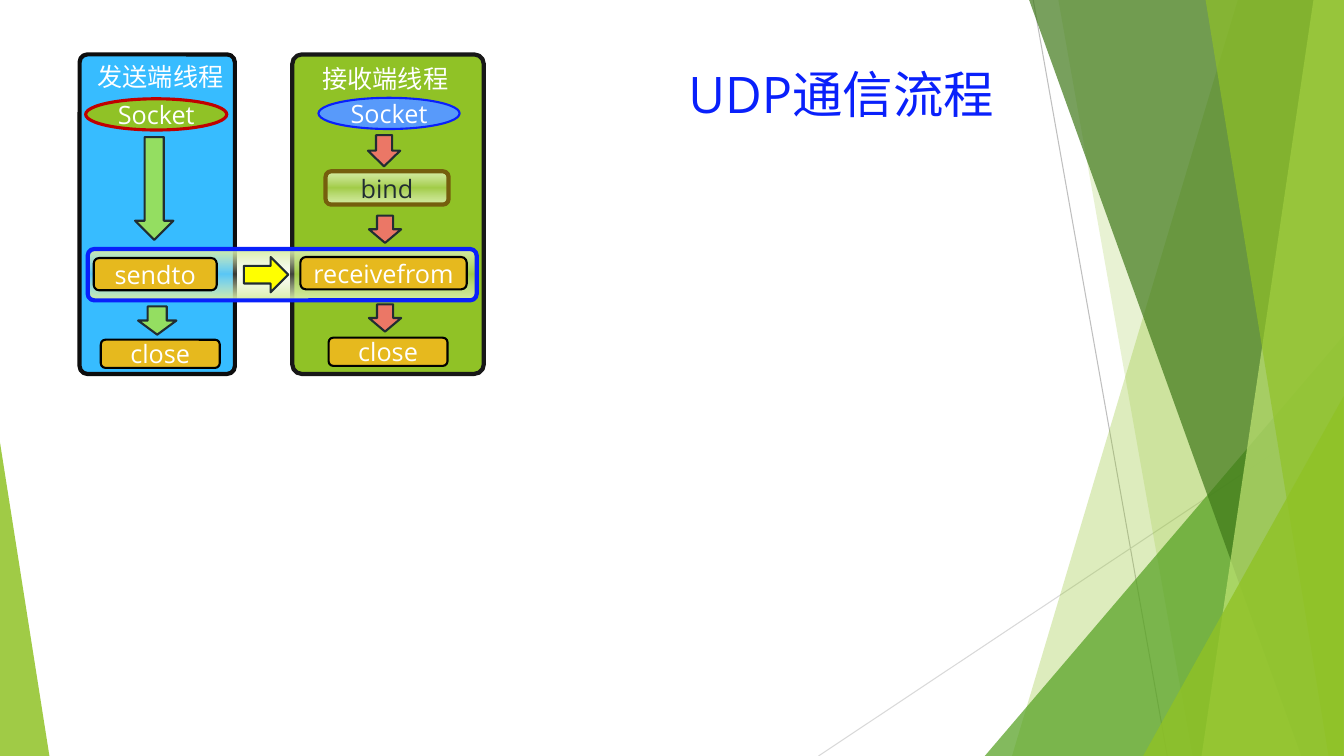
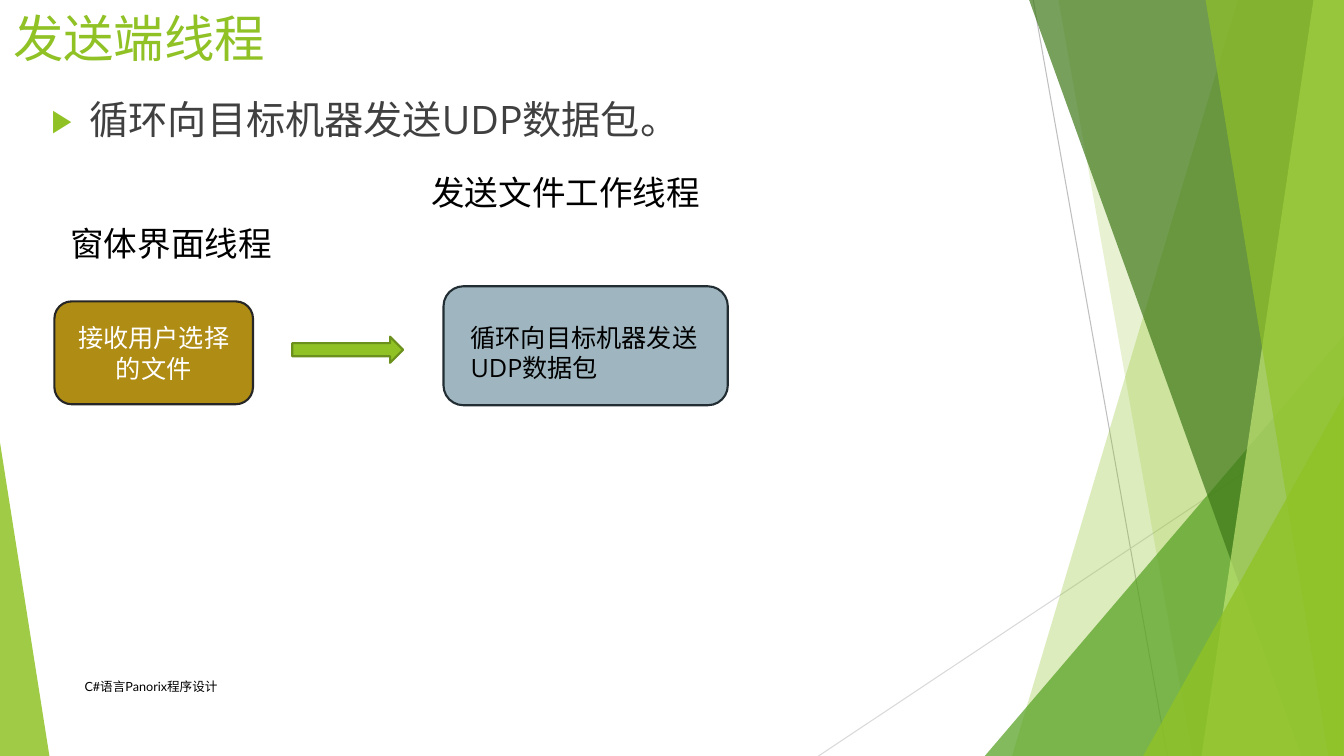
from lxml import etree
from pptx import Presentation
from pptx.dml.color import RGBColor
from pptx.enum.shapes import MSO_CONNECTOR, MSO_SHAPE
from pptx.enum.text import MSO_ANCHOR, MSO_AUTO_SIZE, PP_ALIGN
from pptx.oxml import parse_xml
from pptx.oxml.ns import nsdecls, qn
from pptx.util import Inches, Pt

ROUND, OVAL = MSO_SHAPE.ROUNDED_RECTANGLE, MSO_SHAPE.OVAL
DOWN, RIGHT = MSO_SHAPE.DOWN_ARROW, MSO_SHAPE.RIGHT_ARROW
WEDGE = MSO_SHAPE.ISOSCELES_TRIANGLE
TOP, MID = MSO_ANCHOR.TOP, MSO_ANCHOR.MIDDLE
LEFT, MIDST = PP_ALIGN.LEFT, PP_ALIGN.CENTER
FIXED, GROW = MSO_AUTO_SIZE.NONE, MSO_AUTO_SIZE.SHAPE_TO_FIT_TEXT

WHITE = RGBColor(0xFF, 0xFF, 0xFF)
BLACK = RGBColor(0x00, 0x00, 0x00)
GREEN = RGBColor(0x90, 0xC2, 0x26)
LEAF = RGBColor(0x54, 0xA0, 0x21)
MOSS = RGBColor(0x3F, 0x78, 0x19)
LIME = RGBColor(0xC0, 0xE4, 0x74)
OLIVE = RGBColor(0x6B, 0x90, 0x1C)
MINT = RGBColor(0x94, 0xDE, 0x61)
SKY = RGBColor(0x37, 0xBC, 0xFF)
AZURE = RGBColor(0x58, 0x9A, 0xFA)
BLUE = RGBColor(0x09, 0x20, 0xFB)
RED = RGBColor(0xC0, 0x00, 0x00)
CORAL = RGBColor(0xEB, 0x77, 0x66)
GOLD = RGBColor(0xE6, 0xB9, 0x1E)
OCHRE = RGBColor(0xAF, 0x8C, 0x14)
BROWN = RGBColor(0x75, 0x5E, 0x0D)
YELLOW = RGBColor(0xFF, 0xFF, 0x00)
STEEL = RGBColor(0x9F, 0xB6, 0xC0)
SLATE = RGBColor(0x21, 0x2D, 0x32)
COAL = RGBColor(0x26, 0x26, 0x26)
INK = RGBColor(0x0D, 0x0D, 0x0D)
PITCH = RGBColor(0x18, 0x18, 0x18)
GREY = RGBColor(0x40, 0x40, 0x40)
SILVER = RGBColor(0xBF, 0xBF, 0xBF)
PALE = RGBColor(0xD9, 0xD9, 0xD9)
SANS, HAN, LATO = "Open Sans", "Noto Sans CJK SC", "Lato"

CELL = Inches(0.1)
COLS, ROWS = 133.33, 75
GLOW = f"""<a:gradFill {nsdecls("a")} rotWithShape="1"><a:gsLst>
<a:gs pos="0"><a:srgbClr val="D5EDA2"/></a:gs>
<a:gs pos="49000"><a:srgbClr val="EAF6D1"><a:alpha val="19000"/></a:srgbClr></a:gs>
<a:gs pos="100000"><a:srgbClr val="D5EDA2"/></a:gs>
</a:gsLst><a:lin ang="5400000" scaled="0"/></a:gradFill>"""


def draw(slide, kind, box, fill, line=None, weight=1.5, bend=None):
    shape = slide.shapes.add_shape(kind, *[round(n * CELL) for n in box])
    shape.shadow.inherit = False
    if bend is not None:
        shape.adjustments[0] = bend
    if fill == GLOW:
        shape._element.spPr.find(qn("a:prstGeom")).addnext(parse_xml(GLOW))
    else:
        shape.fill.solid()
        shape.fill.fore_color.rgb = fill
    if line is None:
        shape.line.fill.background()
    else:
        shape.line.color.rgb = line
        shape.line.width = Pt(weight)
    return shape


def write(shape, text, size=18, color=WHITE, font=HAN, align=LEFT,
          anchor=TOP, wrap=True, fit=FIXED):
    frame = shape.text_frame
    frame.text = text
    frame.auto_size = fit
    frame.word_wrap = wrap
    frame.vertical_anchor = anchor
    for para in frame.paragraphs:
        para.alignment = align
        for run in para.runs:
            run.font.size = Pt(size)
            run.font.name = font
            run.font.color.rgb = color
            etree.SubElement(run.font._element, qn("a:ea"), typeface=HAN)


prs = Presentation()
prs.slide_width, prs.slide_height = round(COLS * CELL), ROWS * CELL
flow = prs.slides.add_slide(prs.slide_layouts[5])
send = prs.slides.add_slide(prs.slide_layouts[1])

decor = []
for ends, color in [((102.5, 0, 115.8, ROWS), SILVER),
                    ((COLS, 40.3, 81.2, ROWS), PALE)]:
    rule = flow.shapes.add_connector(
        MSO_CONNECTOR.STRAIGHT, *[round(n * CELL) for n in ends])
    rule.line.color.rgb = color
    rule.line.width = Pt(0.75)
    etree.SubElement(rule._element.spPr, qn("a:effectLst"))
    decor.append(rule)

for spot, color, alpha, apex in [
        ((122.8, 100.4), GREEN, 30, None),
        ((105, 118.3), GREEN, 20, None),
        ((97.7, 33.3, 35.6, 41.7), LEAF, 72, 1),
        ((102.1, 129.1), MOSS, 70, None),
        ((130.3, 119.2), LIME, 70, None),
        ((119.6, 131.8), GREEN, 65, None),
        ((113.4, 39.3, 19.9, 35.7), GREEN, 80, 1),
        ((0, 43.9, 4.9, 31.1), GREEN, 85, 0)]:
    if apex is None:
        top, foot = [round(n * CELL) for n in spot]
        edge, base = prs.slide_width, prs.slide_height
        path = flow.shapes.build_freeform(top, 0)
        path.add_line_segments([(edge, 0), (edge, base), (foot, base)])
        pane = path.convert_to_shape()
        pane.shadow.inherit = False
        pane.fill.solid()
        pane.fill.fore_color.rgb = color
        pane.line.fill.background()
    else:
        pane = draw(flow, WEDGE, spot, color, bend=apex)
    tint = pane._element.spPr.find(qn("a:solidFill"))[0]
    etree.SubElement(tint, qn("a:alpha"), val=str(alpha * 1000))
    decor.append(pane)

for part in decor:
    prs.slide_master.shapes._spTree.append(part._element)

for shape, box, text, size, color in [
        (flow.shapes.title, (67.3, 5.8, 33.1, 7.3), "UDP通信流程", 36, BLUE),
        (send.shapes.title, (0.3, 0.2, 28, 8.5), "发送端线程", 36, GREEN),
        (send.placeholders[1], (4.1, 9, 61.3, 6),
         "循环向目标机器发送UDP数据包。", 28, GREY)]:
    shape.left, shape.top, shape.width, shape.height = [
        round(n * CELL) for n in box]
    write(shape, text, size=size, color=color, font=SANS)

item = send.placeholders[1].text_frame.paragraphs[0]
item.space_before = Pt(10)
props = item._p.get_or_add_pPr()
props.set("marL", str(round(3.8 * CELL)))
props.set("indent", str(round(-3.8 * CELL)))
tone = etree.SubElement(props, qn("a:buClr"))
etree.SubElement(tone, qn("a:srgbClr"), val=str(GREEN))
etree.SubElement(props, qn("a:buSzPct"), val="80000")
etree.SubElement(props, qn("a:buFont"), typeface=SANS)
etree.SubElement(props, qn("a:buChar"), char="▶")

draw(flow, ROUND, (7.9, 5.4, 15.4, 31.7), SKY, INK, 3, 0.05)
draw(flow, ROUND, (29, 5.4, 19, 31.7), GREEN, PITCH, 3, 0.05)
draw(flow, ROUND, (8.7, 24.7, 38.6, 5.1), GLOW, BLUE, 3, 0.13)

for kind, box, fill in [
        (DOWN, (13.4, 13.6, 3.8, 10.2), MINT),
        (DOWN, (13.7, 30.4, 3.8, 2.8), MINT),
        (DOWN, (36.5, 13.4, 3.2, 3.1), CORAL),
        (DOWN, (36.6, 21.4, 3.2, 2.7), CORAL),
        (DOWN, (36.6, 30.2, 3.2, 2.7), CORAL),
        (RIGHT, (24.2, 25.5, 4.4, 3.5), YELLOW)]:
    draw(flow, kind, box, fill, SLATE)

for text, kind, box, fill, line, weight, color in [
        ("Socket", OVAL, (8.5, 9.8, 14, 3.1), GREEN, RED, 2.25, WHITE),
        ("Socket", OVAL, (31.6, 9.7, 14, 3.1), AZURE, BLUE, 1.5, WHITE),
        ("bind", ROUND, (32.3, 17, 12.2, 3.3), GLOW, BROWN, 3, SLATE),
        ("sendto", ROUND, (9.3, 25.6, 12.2, 3.2), GOLD, BLACK, 1.5, WHITE),
        ("receivefrom", ROUND, (29.8, 25.5, 16.5, 3.2), GOLD, BLACK, 1.5,
         WHITE),
        ("close", ROUND, (10, 33.7, 11.8, 2.8), GOLD, BLACK, 1.5, WHITE),
        ("close", ROUND, (32.6, 33.5, 11.8, 2.8), GOLD, BLACK, 1.5, WHITE)]:
    step = draw(flow, kind, box, fill, line, weight)
    write(step, text, color=color, font=SANS, align=MIDST, anchor=MID,
          wrap=False)

draw(send, ROUND, (44, 28.4, 28.2, 11.8), STEEL, SLATE)
pick = draw(send, ROUND, (5.4, 29.9, 19.7, 10.2), OCHRE, COAL)
write(pick, "接收用户选择的文件", align=MIDST, anchor=MID)
draw(send, RIGHT, (29, 33.4, 11, 2.6), GREEN, OLIVE)

for slide, box, text, style in [
        (flow, (8.7, 5.6, 14.6, 4), "发送端线程", {}),
        (flow, (31, 5.8, 14.6, 4), "接收端线程", {}),
        (send, (41.8, 16.6, 28.9, 5), "发送文件工作线程",
         {"size": 24, "color": BLACK}),
        (send, (6, 21.6, 22.2, 5), "窗体界面线程",
         {"size": 24, "color": BLACK}),
        (send, (45.7, 31.5, 24.7, 7.1), "循环向目标机器发送\nUDP数据包",
         {"color": BLACK, "font": SANS}),
        (send, (7.4, 66.1, 68.9, 4), "C#语言Panorix程序设计",
         {"size": 9, "color": BLACK, "font": LATO, "anchor": MID,
          "wrap": True, "fit": FIXED})]:
    label = slide.shapes.add_textbox(*[round(n * CELL) for n in box])
    write(label, text, **{"wrap": False, "fit": GROW, **style})

prs.save("out.pptx")
